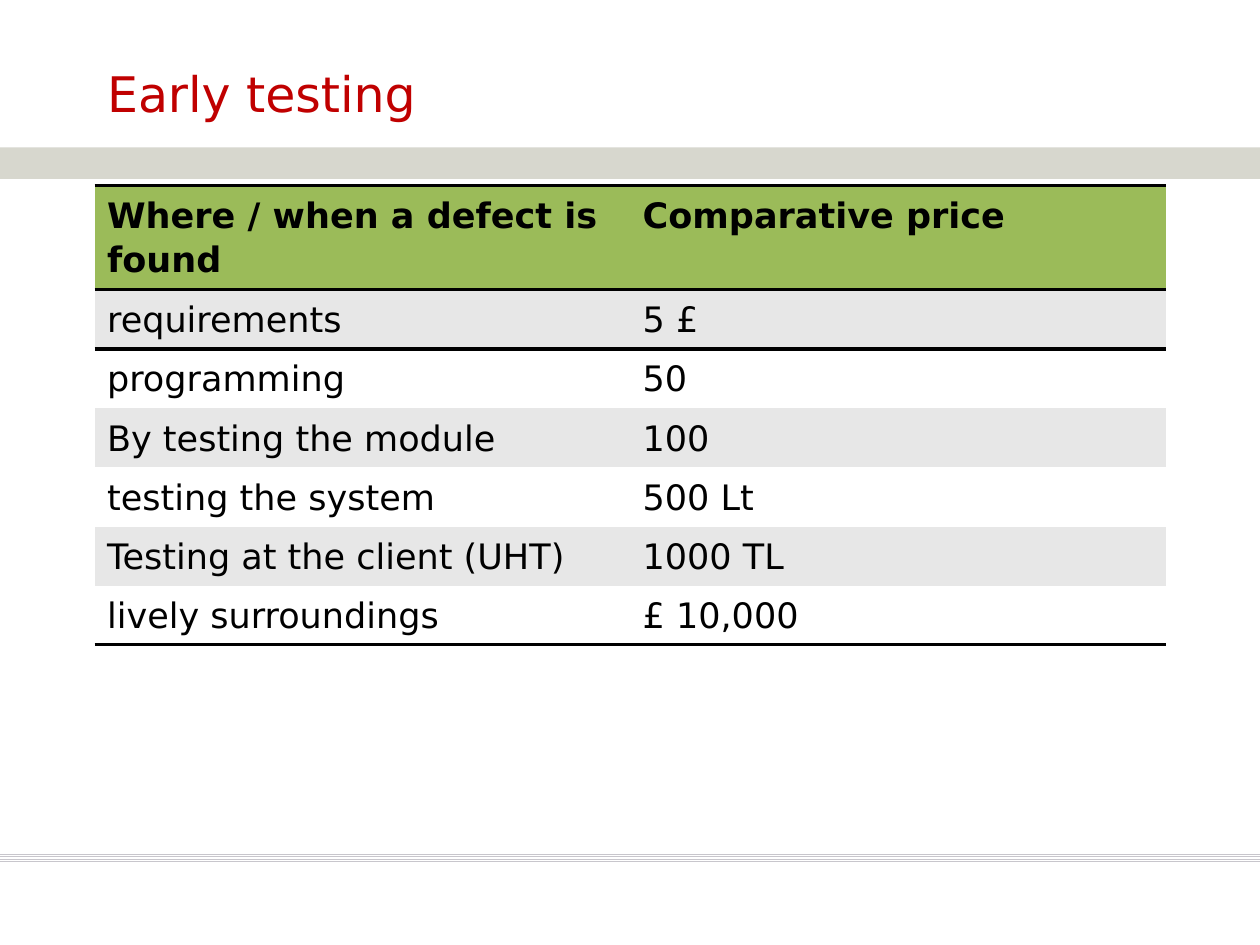
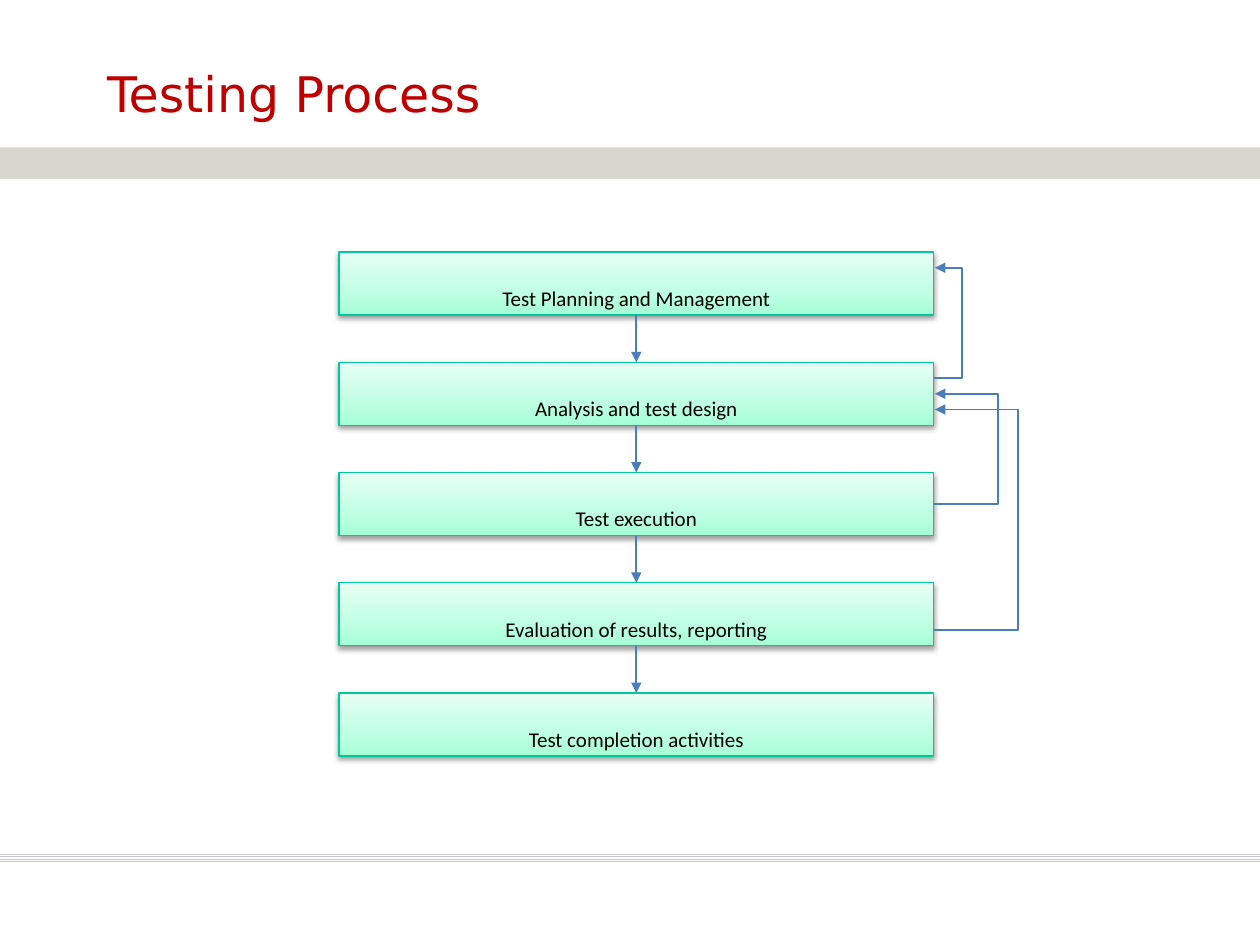
from dataclasses import dataclass
from itertools import pairwise

from lxml.etree import SubElement
from pptx import Presentation
from pptx.dml.color import RGBColor
from pptx.enum.shapes import MSO_CONNECTOR, MSO_SHAPE
from pptx.enum.text import MSO_ANCHOR, PP_ALIGN
from pptx.oxml import parse_xml
from pptx.oxml.ns import nsdecls, qn
from pptx.util import Inches, Pt

# Content
DEFECT_TITLE = "Early testing"
DEFECT_PRICES = [
    ("Where / when a defect is found", "Comparative price"),
    ("requirements", "5 £"),
    ("programming", "50"),
    ("By testing the module", "100"),
    ("testing the system", "500 Lt"),
    ("Testing at the client (UHT)", "1000 TL"),
    ("lively surroundings", "£ 10,000"),
]
PROCESS_TITLE = "Testing Process"
PROCESS_STEPS = [
    "Test Planning and Management",
    "Analysis and test design",
    "Test execution",
    "Evaluation of results, reporting",
    "Test completion activities",
]
# (from step, to step, height within each step box, reach to the right)
FEEDBACK = [
    (1, 0, 0.25, 0.25, 0.23),
    (2, 1, 0.5, 0.5, 0.52),
    (3, 1, 0.75, 0.75, 0.68),
]


@dataclass(frozen=True)
class Theme:
    """Colours, fonts and type sizes of the deck."""
    title: str = "C00000"
    text: str = "000000"
    band: str = "D7D7CE"
    rule: str = "C8C6CC"
    header: str = "9BBB59"
    stripe: str = "E7E7E7"
    plain: str = "FFFFFF"
    arrow: str = "4A7EBB"
    step_line: str = "00C896"
    step_stops: tuple = ((0, "A5FFD6"), (35, "BFFFE2"), (100, "E7FFF3"))
    font: str = "DejaVu Sans"
    step_font: str = "Calibri"
    title_size: int = 28
    table_size: int = 20
    step_size: int = 12


T = Theme()
WIDTH, HEIGHT = 10, 7.5
LEFT, CONTENT_W = 0.75, 8.5
STEP_X, STEP_Y, STEP_W, STEP_H, STEP_PITCH = 2.69, 2, 4.72, 0.5, 0.875


def rgb(value):
    """Turn a hex string into a colour."""
    return RGBColor.from_string(value)


def style_text(tf, font, size, color, bold=False):
    """Format every run of a text frame."""
    for p in tf.paragraphs:
        for r in p.runs:
            r.font.name, r.font.size, r.font.bold = font, Pt(size), bold
            r.font.color.rgb = rgb(color)


def add_line(slide, kind, start, end, color, width, arrow=False):
    """Add a connector without shadow, with an arrowhead if asked."""
    line = slide.shapes.add_connector(kind, *(Inches(v) for v in (*start, *end)))
    line.line.color.rgb = rgb(color)
    line.line.width = Pt(width)
    if arrow:
        SubElement(line.line._get_or_add_ln(), qn("a:tailEnd"), type="triangle")
    SubElement(line._element.spPr, qn("a:effectLst"))
    return line


def decorate_layout(slide):
    """Draw the band and footer rules and move them to the slide's layout."""
    parts = [add_line(slide, MSO_CONNECTOR.STRAIGHT, (0, y), (WIDTH, y), T.rule, 0.5)
             for y in (6.78 + 0.02 * i for i in range(4))]
    band = slide.shapes.add_shape(MSO_SHAPE.RECTANGLE, 0, Inches(1.17),
                                  Inches(WIDTH), Inches(0.25))
    band.shadow.inherit = False
    band.fill.solid()
    band.fill.fore_color.rgb = rgb(T.band)
    band.line.fill.background()
    for part in (*parts, band):
        slide.slide_layout.shapes._spTree.append(part._element)


def add_slide(prs, title):
    """Add a title-only slide with the deck's title style."""
    slide = prs.slides.add_slide(prs.slide_layouts[5])
    sp = slide.shapes.title
    sp.left, sp.top = Inches(LEFT), Inches(0.32)
    sp.width, sp.height = Inches(CONTENT_W), Inches(0.83)
    tf = sp.text_frame
    tf.text = title
    tf.vertical_anchor = MSO_ANCHOR.MIDDLE
    tf.paragraphs[0].alignment = PP_ALIGN.LEFT
    style_text(tf, T.font, T.title_size, T.title)
    return slide


def add_border(cell, side):
    """Draw a 2 pt border on one side of a cell; 'T' or 'B'."""
    cell._tc.get_or_add_tcPr().insert(0, parse_xml(
        f'<a:ln{side} {nsdecls("a")} w="{Pt(2)}"><a:solidFill>'
        f'<a:srgbClr val="{T.text}"/></a:solidFill></a:ln{side}>'))


def add_price_table(slide, rows):
    """Add the striped table with rules around its header and at its foot."""
    heights = [0.83] + [0.47] * (len(rows) - 1)
    frame = slide.shapes.add_table(len(rows), len(rows[0]), Inches(LEFT), Inches(1.47),
                                   Inches(CONTENT_W), Inches(sum(heights)))
    table = frame.table
    table.horz_banding = False
    style_id = table._tbl.tblPr.find(qn("a:tableStyleId"))
    style_id.text = "{2D5ABB26-0587-4C30-8999-92F81FD0307C}"
    for i, (row, height) in enumerate(zip(rows, heights)):
        table.rows[i].height = Inches(height)
        color = T.header if i == 0 else T.stripe if i % 2 else T.plain
        for j, text in enumerate(row):
            cell = table.cell(i, j)
            cell.text = text
            cell.text_frame.paragraphs[0].line_spacing = 1.1
            style_text(cell.text_frame, T.font, T.table_size, T.text, bold=i == 0)
            cell.fill.solid()
            cell.fill.fore_color.rgb = rgb(color)
            if i in (0, len(rows) - 1):
                add_border(cell, "B")
            if i in (0, 1):
                add_border(cell, "T")


def add_step(slide, index, text):
    """Add one process box with gradient and soft shadow."""
    sp = slide.shapes.add_shape(
        MSO_SHAPE.RECTANGLE, Inches(STEP_X), Inches(STEP_Y + index * STEP_PITCH),
        Inches(STEP_W), Inches(STEP_H))
    sp.fill.gradient()
    sp.fill.gradient_angle = 90
    stops = sp._element.spPr.find(qn("a:gradFill")).find(qn("a:gsLst"))
    for stop in list(stops):
        stops.remove(stop)
    for pos, color in T.step_stops:
        stop = SubElement(stops, qn("a:gs"), pos=str(pos * 1000))
        SubElement(stop, qn("a:srgbClr"), val=color)
    sp.line.color.rgb = rgb(T.step_line)
    sp.line.width = Pt(0.75)
    sp.shadow.inherit = False
    sp._element.spPr.find(qn("a:effectLst")).append(parse_xml(
        f'<a:outerShdw {nsdecls("a")} blurRad="{Pt(3.1)}" dist="{Pt(1.6)}" '
        f'dir="5400000" rotWithShape="0"><a:srgbClr val="{T.text}">'
        '<a:alpha val="38000"/></a:srgbClr></a:outerShdw>'))
    tf = sp.text_frame
    tf.text = text
    tf.word_wrap = True
    tf.vertical_anchor = MSO_ANCHOR.MIDDLE
    tf.margin_top, tf.margin_bottom = Inches(0.23), 0
    tf.paragraphs[0].alignment = PP_ALIGN.CENTER
    style_text(tf, T.step_font, T.step_size, T.text)
    return sp


def add_feedback(slide, source, target, source_at, target_at, reach):
    """Add an arrow that loops back to an earlier step on the right."""
    right, width = STEP_X + STEP_W, 0.01
    start_y = STEP_Y + source * STEP_PITCH + source_at * STEP_H
    end_y = STEP_Y + target * STEP_PITCH + target_at * STEP_H
    line = add_line(slide, MSO_CONNECTOR.ELBOW, (right, start_y),
                    (right + width, end_y), T.arrow, 1, arrow=True)
    guides = line._element.spPr.find(qn("a:prstGeom")).get_or_add_avLst()
    SubElement(guides, qn("a:gd"), name="adj1",
               fmla=f"val {round(reach / width * 100000)}")


def add_process(slide, steps, feedback):
    """Add the column of steps, the arrows between them and the loops."""
    boxes = [add_step(slide, i, text) for i, text in enumerate(steps)]
    for upper, lower in pairwise(boxes):
        line = add_line(slide, MSO_CONNECTOR.STRAIGHT, (0, 0), (1, 1),
                        T.arrow, 1, arrow=True)
        line.begin_connect(upper, 2)
        line.end_connect(lower, 0)
    for loop in feedback:
        add_feedback(slide, *loop)


def main():
    """Build and save the deck."""
    prs = Presentation()
    prs.slide_width, prs.slide_height = Inches(WIDTH), Inches(HEIGHT)
    slide = add_slide(prs, DEFECT_TITLE)
    decorate_layout(slide)
    add_price_table(slide, DEFECT_PRICES)
    add_process(add_slide(prs, PROCESS_TITLE), PROCESS_STEPS, FEEDBACK)
    prs.save("out.pptx")


main()
